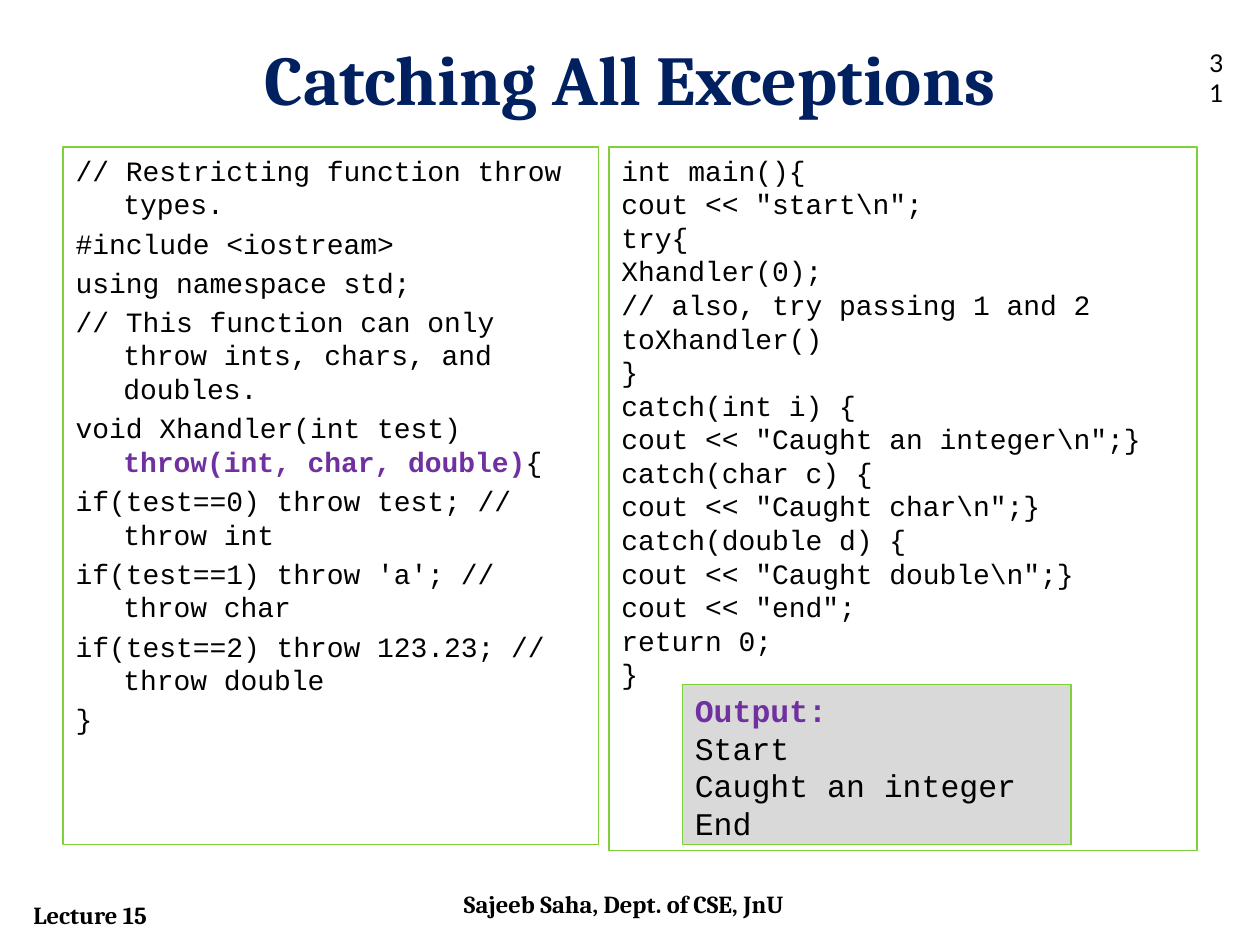
import pptx
import pptx.dml.color
import pptx.enum.shapes
import pptx.enum.text
import pptx.util
from lxml import etree

COLORS = {"ink": "000000", "navy": "002060", "purple": "7030A0",
          "green": "7FD13B", "gray": "D9D9D9"}
CODE, SERIF, SANS = "Courier New", "Cambria", "Lato"
UNIT = pptx.util.Inches(1) // 12  # the slide is 120 columns by 90 rows
HANGING = pptx.util.Inches(0.38)

FUNCTION_CODE = [
    "// Restricting function throw types.",
    "#include <iostream>",
    "using namespace std;",
    "// This function can only throw ints, chars, and doubles.",
    ["void Xhandler(int test) ", ("throw(int, char, double)", "purple"), "{"],
    "if(test==0) throw test; // throw int",
    "if(test==1) throw 'a'; // throw char",
    "if(test==2) throw 123.23; // throw double",
    "}",
]
MAIN_CODE = [
    "int main(){",
    r'cout << "start\n";',
    "try{",
    "Xhandler(0);",
    "// also, try passing 1 and 2 toXhandler()",
    "}",
    "catch(int i) {",
    r'cout << "Caught an integer\n";}',
    "catch(char c) {",
    r'cout << "Caught char\n";}',
    "catch(double d) {",
    r'cout << "Caught double\n";}',
    'cout << "end";',
    "return 0;",
    "}",
]
OUTPUT = [[("Output:", "purple")], "Start", "Caught an integer", "End"]


def rgb(name):
    return pptx.dml.color.RGBColor.from_string(COLORS[name])


def write(box, lines, *, font, size, color="ink", bold=False,
          align=pptx.enum.text.PP_ALIGN.LEFT, hanging=False, gap=0):
    """Fill a box; a line is a string or a list of strings and (text, accent color) pairs."""
    frame = box.text_frame
    frame.word_wrap = True
    frame.auto_size = pptx.enum.text.MSO_AUTO_SIZE.NONE
    frame.vertical_anchor = pptx.enum.text.MSO_ANCHOR.TOP
    for index, line in enumerate(lines):
        para = frame.add_paragraph() if index else frame.paragraphs[0]
        para.alignment = align
        para.space_before = pptx.util.Pt(gap if index else 0)
        if hanging:
            props = para._p.get_or_add_pPr()
            props.set("marL", str(HANGING))
            props.set("indent", str(-HANGING))
            etree.SubElement(props, pptx.oxml.ns.qn("a:buNone"))
        for part in [line] if isinstance(line, str) else line:
            accented = isinstance(part, tuple)
            text, tint = part if accented else (part, color)
            span = para.add_run()
            span.text = text
            span.font.name = font
            span.font.size = pptx.util.Pt(size)
            span.font.bold = bold or accented
            span.font.color.rgb = rgb(tint)


class SlideBuilder:
    def __init__(self, page):
        self.page = page

    def area(self, column, row, columns, rows):
        return [round(UNIT * value) for value in (column, row, columns, rows)]

    def place(self, box, *cells):
        box.left, box.top, box.width, box.height = self.area(*cells)

    def outline(self, box):
        box.line.color.rgb = rgb("green")
        box.line.width = pptx.util.Pt(0.75)

    def title(self, text, *cells):
        box = self.page.shapes.title
        self.place(box, *cells)
        write(box, [text], font=SERIF, size=40, color="navy", bold=True,
              align=pptx.enum.text.PP_ALIGN.CENTER)

    def body(self, lines, *cells):
        box = self.page.placeholders[1]
        self.place(box, *cells)
        self.outline(box)
        write(box, lines, font=CODE, size=16, hanging=True, gap=3.2)

    def panel(self, lines, *cells, size, fill=None):
        box = self.page.shapes.add_shape(
            pptx.enum.shapes.MSO_SHAPE.RECTANGLE, *self.area(*cells))
        box.shadow.inherit = False
        if fill:
            box.fill.solid()
            box.fill.fore_color.rgb = rgb(fill)
        else:
            box.fill.background()
        self.outline(box)
        write(box, lines, font=CODE, size=size)

    def label(self, text, *cells, font=SERIF, bold=True):
        box = self.page.shapes.add_textbox(*self.area(*cells))
        write(box, [text], font=font, size=14, bold=bold)


def main():
    deck = pptx.Presentation()
    deck.slide_width, deck.slide_height = 120 * UNIT, 90 * UNIT
    slide = SlideBuilder(deck.slides.add_slide(deck.slide_layouts[1]))
    slide.title("Catching All Exceptions", 6, 2.8, 108, 9.2)
    slide.body(FUNCTION_CODE, 6, 14, 51, 66.4)
    slide.panel(MAIN_CODE, 58, 14, 56, 67, size=16)
    slide.panel(OUTPUT, 65, 65.2, 37, 15.2, size=18, fill="gray")
    slide.label("31", 114, 4, 5, 4.8, font=SANS, bold=False)
    slide.label("Lecture 15", 2, 85.1, 24, 4.1)
    slide.label("Sajeeb Saha, Dept. of CSE, JnU", 43, 84.1, 34, 4.8)
    deck.save("out.pptx")


if __name__ == "__main__":
    main()
